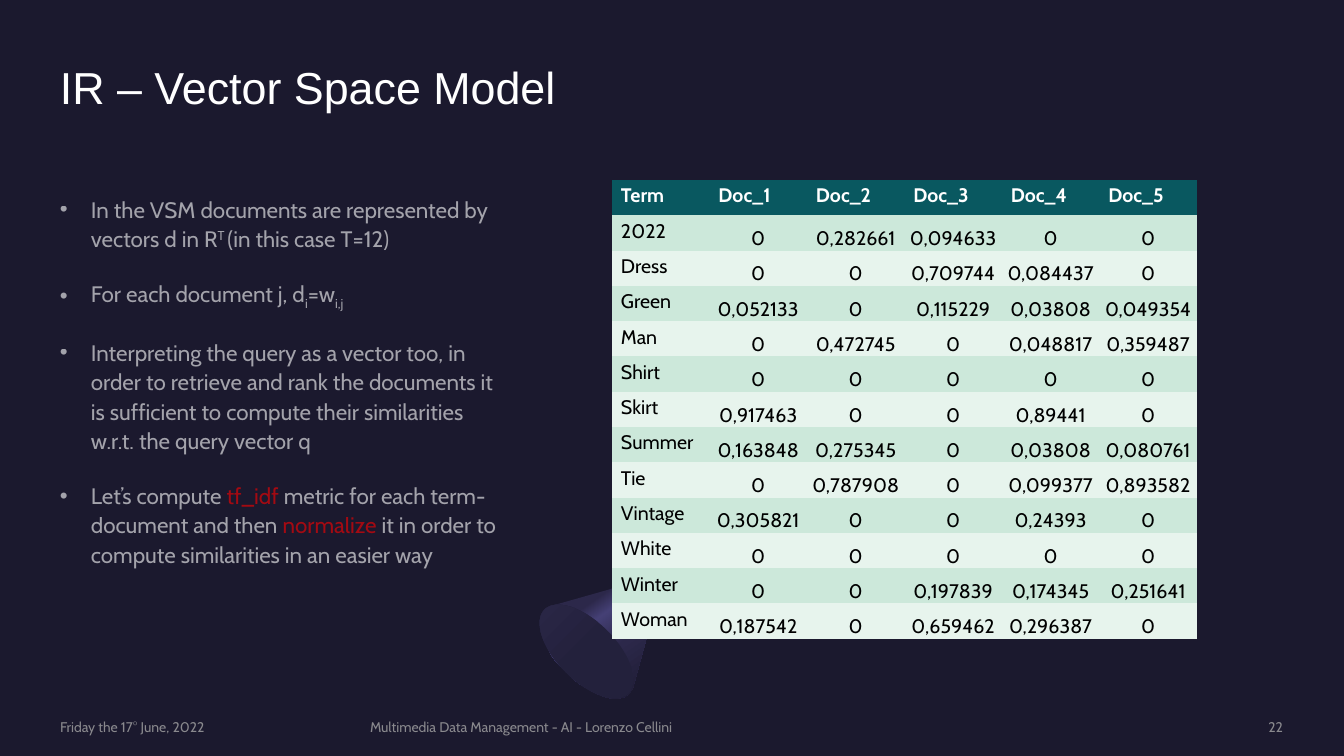
import lxml.etree
import pptx
import pptx.dml.color
import pptx.enum.shapes
import pptx.enum.text
import pptx.oxml.ns
import pptx.util

PX = 9071
qn = pptx.oxml.ns.qn


def color(value):
    return pptx.dml.color.RGBColor.from_string(value)


def write_run(paragraph, text, value, alpha=100, baseline=0, **formats):
    run = paragraph.add_run()
    run.text = text
    for name, setting in formats.items():
        setattr(run.font, name, setting)
    run.font.color.rgb = color(value)
    properties = run._r.get_or_add_rPr()
    if alpha < 100:
        tint = properties.find(".//" + qn("a:srgbClr"))
        lxml.etree.SubElement(tint, qn("a:alpha")).set("val", str(alpha * 1000))
    if baseline:
        properties.set("baseline", str(baseline * 1000))


deck = pptx.Presentation()
deck.slide_width = 1344 * PX
deck.slide_height = 756 * PX
slide = deck.slides.add_slide(deck.slide_layouts[6])
slide.background.fill.solid()
slide.background.fill.fore_color.rgb = color("1B192E")

rim_curves = [
    [(633, 688), (632, 691), (631, 692), (629, 694)],
    [(629, 694), (618, 705), (590, 696), (566, 672)],
    [(566, 672), (542, 649), (533, 621), (545, 609)],
    [(545, 609), (546, 608), (548, 607), (551, 606)],
]
steps = 10
rim = []
for curve in rim_curves:
    for step in range(steps + 1):
        t = step / steps
        weights = [(1 - t) ** 3, 3 * t * (1 - t) ** 2, 3 * t * t * (1 - t), t ** 3]
        rim.append(tuple(sum(w * point[axis] for w, point in zip(weights, curve)) for axis in (0, 1)))
cone_outline = slide.shapes.build_freeform(664, 574, scale=PX)
cone_outline.add_line_segments(rim, close=True)
cone = cone_outline.convert_to_shape()

cone_base = slide.shapes.add_shape(
    pptx.enum.shapes.MSO_SHAPE.OVAL, 557 * PX, 592 * PX, 59 * PX, 119 * PX)
cone_base.rotation = 135

shades = [
    (cone, 305, [(30, "2C284A"), (40, "454075"), (60, "2C284A"), (100, "1B192E")]),
    (cone_base, 270, [(50, "23213C"), (100, "2C284A")]),
]
for part, angle, stops in shades:
    part.shadow.inherit = False
    part.line.fill.background()
    part.fill.gradient()
    part.fill.gradient_angle = angle
    stop_list = part._element.spPr.find(".//" + qn("a:gsLst"))
    for old_stop in list(stop_list):
        stop_list.remove(old_stop)
    for position, value in stops:
        stop = lxml.etree.SubElement(stop_list, qn("a:gs"), pos=str(position * 1000))
        lxml.etree.SubElement(stop, qn("a:srgbClr"), val=str(color(value)))

ALIGN = pptx.enum.text.PP_ALIGN
ANCHOR = pptx.enum.text.MSO_ANCHOR
title_font = {"name": "Arial", "size": pptx.util.Pt(32)}
body_font = {"name": "Cabin", "size": pptx.util.Pt(16)}
footer_font = {"name": "Cabin", "size": pptx.util.Pt(10)}
white = {"value": "FFFFFF", "alpha": 60}
red = {"value": "FF0000", "alpha": 60}
grey = {"value": "A6A6A6", "alpha": 80}

title = [[("IR – Vector Space Model", {"value": "FFFFFF"})]]
points = [
    [("In the VSM documents are represented by vectors d in R", white),
     ("T ", white | {"baseline": 30}),
     ("(in this case T=12)", white)],
    [("For each document j, d", white),
     ("i", white | {"baseline": -25}),
     ("=w", white),
     ("i,j", white | {"baseline": -25})],
    [("Interpreting the query as a vector too, in order to retrieve and rank the documents "
      "it is sufficient to compute their similarities w.r.t. the query vector q", white)],
    [("Let’s compute ", white),
     ("tf_idf ", red),
     ("metric for each term-document and then ", white),
     ("normalize", red),
     (" it in order to compute similarities in an easier way", white)],
]
date = [[("Friday the 17° June, 2022", grey)]]
course = [[("Multimedia Data Management - AI - Lorenzo Cellini", grey)]]
page = [[("22", grey)]]

texts = [
    (title, (60, 60, 1223, 109), title_font, ANCHOR.TOP, ALIGN.LEFT),
    (points, (60, 193, 438, 479), body_font, ANCHOR.TOP, ALIGN.LEFT),
    (date, (60, 718, 290, 17), footer_font, ANCHOR.MIDDLE, ALIGN.LEFT),
    (course, (370, 718, 704, 17), footer_font, ANCHOR.MIDDLE, ALIGN.LEFT),
    (page, (1097, 718, 186, 17), footer_font, ANCHOR.MIDDLE, ALIGN.RIGHT),
]
for content, place, font, anchor, alignment in texts:
    frame = slide.shapes.add_textbox(*(length * PX for length in place)).text_frame
    frame_format = {"word_wrap": True, "vertical_anchor": anchor, "margin_left": 0,
                    "margin_top": 0, "margin_right": 0, "margin_bottom": 0}
    for name, setting in frame_format.items():
        setattr(frame, name, setting)
    for index, pieces in enumerate(content):
        paragraph = frame.add_paragraph() if index else frame.paragraphs[0]
        paragraph.alignment = alignment
        if content is points:
            indents = paragraph._p.get_or_add_pPr()
            indents.set("marL", str(31 * PX))
            indents.set("indent", str(-31 * PX))
            lxml.etree.SubElement(indents, qn("a:buFont"), typeface="Arial")
            lxml.etree.SubElement(indents, qn("a:buChar"), char="•")
            paragraph.line_spacing = 1.1
            paragraph.space_before = pptx.util.Pt(10 if index else 0)
            paragraph.space_after = pptx.util.Pt(8)
        for text, look in pieces:
            write_run(paragraph, text, **look, **font)

weights_by_term = [
    ["Term", "Doc_1", "Doc_2", "Doc_3", "Doc_4", "Doc_5"],
    ["2022", "0", "0,282661", "0,094633", "0", "0"],
    ["Dress", "0", "0", "0,709744", "0,084437", "0"],
    ["Green", "0,052133", "0", "0,115229", "0,03808", "0,049354"],
    ["Man", "0", "0,472745", "0", "0,048817", "0,359487"],
    ["Shirt", "0", "0", "0", "0", "0"],
    ["Skirt", "0,917463", "0", "0", "0,89441", "0"],
    ["Summer", "0,163848", "0,275345", "0", "0,03808", "0,080761"],
    ["Tie", "0", "0,787908", "0", "0,099377", "0,893582"],
    ["Vintage", "0,305821", "0", "0", "0,24393", "0"],
    ["White", "0", "0", "0", "0", "0"],
    ["Winter", "0", "0", "0,197839", "0,174345", "0,251641"],
    ["Woman", "0,187542", "0", "0,659462", "0,296387", "0"],
]
term_table = slide.shapes.add_table(
    len(weights_by_term), len(weights_by_term[0]), 612 * PX, 180 * PX, 585 * PX, 459 * PX).table
term_table._tbl.tblPr.find(qn("a:tableStyleId")).text = "{2D5ABB26-0587-4C30-8999-92F81FD0307C}"

label_format = {"margin_left": 9 * PX, "margin_top": 4 * PX, "margin_right": 9 * PX,
                "margin_bottom": 4 * PX, "vertical_anchor": ANCHOR.TOP}
weight_format = {"margin_left": PX, "margin_top": PX, "margin_right": PX,
                 "margin_bottom": 0, "vertical_anchor": ANCHOR.BOTTOM}
for row, values in enumerate(weights_by_term):
    header = row == 0
    band = "095860" if header else ("E7F4ED", "CCE8DA")[row % 2]
    for column, value in enumerate(values):
        is_label = header or column == 0
        cell = term_table.cell(row, column)
        for name, setting in (label_format if is_label else weight_format).items():
            setattr(cell, name, setting)
        cell.fill.solid()
        cell.fill.fore_color.rgb = color(band)
        paragraph = cell.text_frame.paragraphs[0]
        paragraph.alignment = ALIGN.LEFT if is_label else ALIGN.CENTER
        write_run(paragraph, value, "FFFFFF" if header else "000000",
                  name="Cabin", size=pptx.util.Pt(14), bold=header)

deck.save("out.pptx")
